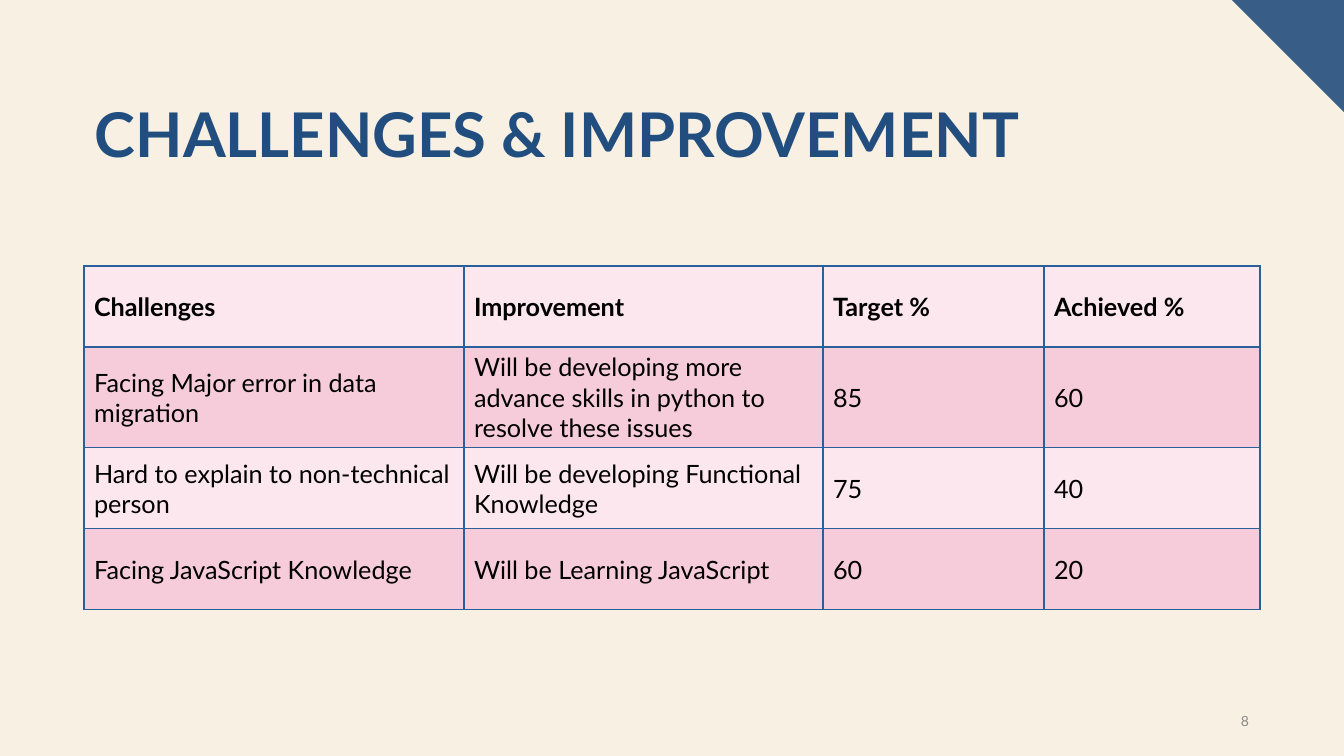
from lxml import etree
from pptx import Presentation
from pptx import util as u
from pptx.dml.color import RGBColor
from pptx.enum import text
from pptx.oxml import ns

TITLE = "CHALLENGES & IMPROVEMENT"
PAGE_NUMBER = "8"
ROWS = [
    ("Challenges", "Improvement", "Target %", "Achieved %"),
    ("Facing Major error in data migration",
     "Will be developing more advance skills in python to resolve these issues", "85", "60"),
    ("Hard to explain to non-technical person",
     "Will be developing Functional Knowledge", "75", "40"),
    ("Facing JavaScript Knowledge", "Will be Learning JavaScript", "60", "20"),
]
COLORS = {
    "background": "F8F0E3", "corner": "385E88", "title": "224E7F", "text": "000000",
    "light_row": "FBE7ED", "dark_row": "F7CCDA", "border": "2A6099", "number": "8B8B8B",
}
FONT = "Lato"
PX = 914400 / 100.8
SLIDE_W, SLIDE_H = 1344, 756
CORNER = 112
TITLE_BOX = (85, 99, 1175, 146)
NUMBER_BOX = (1209, 701, 50, 40)
TABLE_LEFT, TABLE_TOP = 84, 266
COL_WIDTHS = [380, 359, 221, 216]
ROW_HEIGHTS = [81, 98, 81, 81]
BORDER_PT = 0.96


def emu(px):
    return u.Emu(round(px * PX))


def rgb(name):
    return RGBColor.from_string(COLORS[name])


def style(p, size, color, bold=False):
    p.font.name = FONT
    p.font.size = u.Pt(size)
    p.font.bold = bold
    p.font.color.rgb = rgb(color)


def add_text(s, box, words, size, color, bold=False):
    tf = s.shapes.add_textbox(*map(emu, box)).text_frame
    tf.word_wrap = True
    p = tf.paragraphs[0]
    p.text = words
    style(p, size, color, bold)
    return tf


def add_borders(cell):
    """Outline all four sides; call before the cell gets its fill."""
    tc_pr = cell._tc.get_or_add_tcPr()
    for side in ("lnL", "lnR", "lnT", "lnB"):
        ln = etree.SubElement(tc_pr, ns.qn(f"a:{side}"), w=str(u.Pt(BORDER_PT)))
        fill = etree.SubElement(ln, ns.qn("a:solidFill"))
        etree.SubElement(fill, ns.qn("a:srgbClr"), val=COLORS["border"])


def add_corner(s):
    builder = s.shapes.build_freeform(SLIDE_W - CORNER, 0, scale=PX)
    builder.add_line_segments([(SLIDE_W, 0), (SLIDE_W, CORNER)], close=True)
    corner = builder.convert_to_shape()
    corner.shadow.inherit = False
    corner.fill.solid()
    corner.fill.fore_color.rgb = rgb("corner")
    corner.line.fill.background()


def add_challenges_table(s):
    table = s.shapes.add_table(
        len(ROWS), len(COL_WIDTHS), emu(TABLE_LEFT), emu(TABLE_TOP),
        emu(sum(COL_WIDTHS)), emu(sum(ROW_HEIGHTS))).table
    for col, width in zip(table.columns, COL_WIDTHS):
        col.width = emu(width)
    for i, (row, height, values) in enumerate(zip(table.rows, ROW_HEIGHTS, ROWS)):
        row.height = emu(height)
        for cell, value in zip(row.cells, values):
            cell.text = value
            cell.vertical_anchor = text.MSO_ANCHOR.MIDDLE
            style(cell.text_frame.paragraphs[0], 18, "text", bold=i == 0)
            add_borders(cell)
            cell.fill.solid()
            cell.fill.fore_color.rgb = rgb("dark_row" if i % 2 else "light_row")


def main():
    prs = Presentation()
    prs.slide_width, prs.slide_height = emu(SLIDE_W), emu(SLIDE_H)
    s = prs.slides.add_slide(prs.slide_layouts[6])
    s.background.fill.solid()
    s.background.fill.fore_color.rgb = rgb("background")

    add_corner(s)
    title = add_text(s, TITLE_BOX, TITLE, 44, "title", bold=True)
    title.paragraphs[0].line_spacing = 0.9
    add_challenges_table(s)
    number = add_text(s, NUMBER_BOX, PAGE_NUMBER, 10, "number")
    number.vertical_anchor = text.MSO_ANCHOR.MIDDLE
    number.paragraphs[0].alignment = text.PP_ALIGN.RIGHT

    prs.save("out.pptx")


if __name__ == "__main__":
    main()
